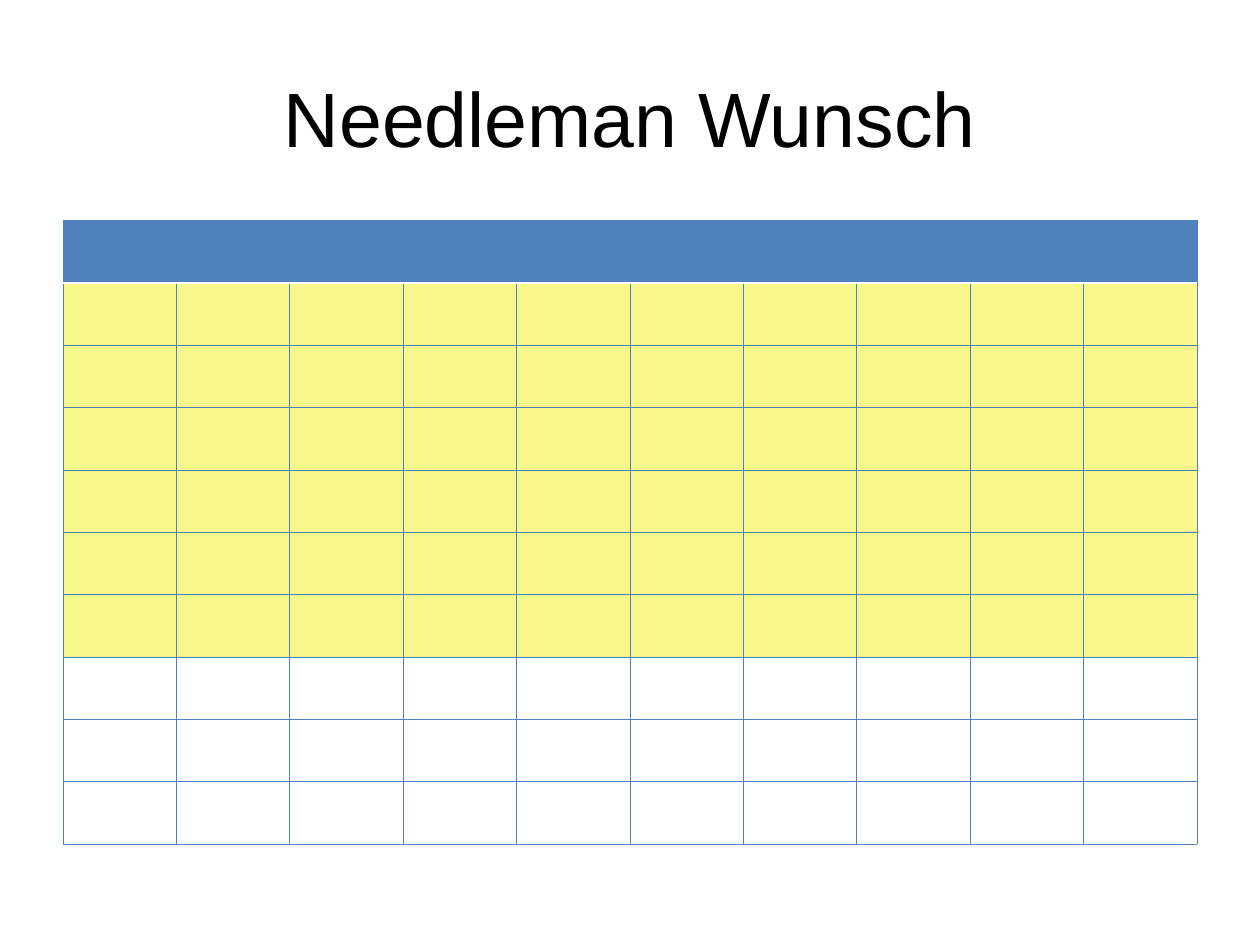
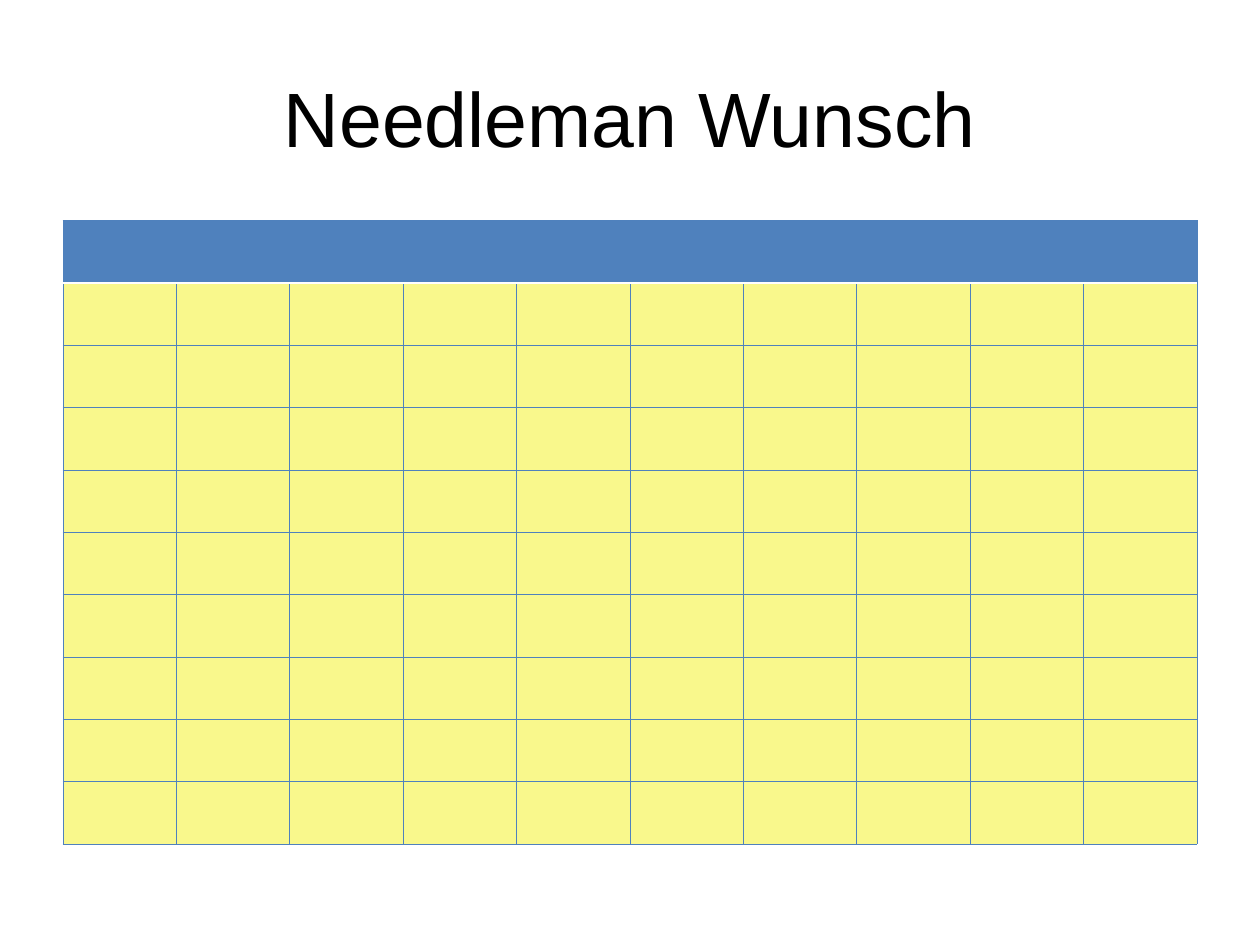
from lxml.etree import SubElement
from pptx import Presentation
from pptx.dml.color import RGBColor
from pptx.enum.text import MSO_ANCHOR, PP_ALIGN
from pptx.oxml.ns import qn
from pptx.util import Inches, Pt

BLUE, YELLOW, WHITE, BLACK = "4F81BD", "F9F88C", "FFFFFF", "000000"
PLAIN_STYLE = "{2D5ABB26-0587-4C30-8999-92F81FD0307C}"
GRID_SIZE = 10
GRID_LINE = (BLUE, 0.45)
HEADER_LINE = (WHITE, 1.47)
FILLED_ROWS = [6, 9]  # yellow rows below the header, one entry per slide


def color(hex_code):
    return RGBColor.from_string(hex_code)


def set_borders(cell, top, bottom):
    """Draw all four sides of a cell; top and bottom are (colour, points)."""
    properties = cell._tc.get_or_add_tcPr()
    sides = {"a:lnL": GRID_LINE, "a:lnR": GRID_LINE, "a:lnT": top, "a:lnB": bottom}
    for tag, (hex_code, points) in sides.items():
        line = SubElement(properties, qn(tag), w=str(Pt(points)))
        fill = SubElement(line, qn("a:solidFill"))
        SubElement(fill, qn("a:srgbClr"), val=hex_code)


deck = Presentation()
deck.slide_width, deck.slide_height = Inches(10), Inches(7.5)
margin = int(deck.slide_width * 0.05)
content_width = deck.slide_width - 2 * margin

for filled_rows in FILLED_ROWS:
    page = deck.slides.add_slide(deck.slide_layouts[5])

    title = page.shapes.title
    title.left, title.top = margin, int(deck.slide_height * 0.04)
    title.width, title.height = content_width, Inches(1.25)
    title.text_frame.text = "Needleman Wunsch"
    title.text_frame.vertical_anchor = MSO_ANCHOR.MIDDLE
    paragraph = title.text_frame.paragraphs[0]
    paragraph.alignment = PP_ALIGN.CENTER
    font = paragraph.runs[0].font
    font.name, font.size = "Arial", Pt(44)
    font.color.rgb = color(BLACK)

    table = page.shapes.add_table(
        GRID_SIZE, GRID_SIZE, margin, Inches(1.75),
        content_width, int(deck.slide_height * 0.66),
    ).table
    table.first_row = table.horz_banding = False
    table._tbl.tblPr.find(qn("a:tableStyleId")).text = PLAIN_STYLE

    for row_index, row in enumerate(table.rows):
        for cell in row.cells:
            set_borders(
                cell,
                top=HEADER_LINE if row_index == 1 else GRID_LINE,
                bottom=HEADER_LINE if row_index == 0 else GRID_LINE,
            )
            if row_index > filled_rows:
                cell.fill.background()
            else:
                cell.fill.solid()
                cell.fill.fore_color.rgb = color(YELLOW if row_index else BLUE)

deck.save("out.pptx")
